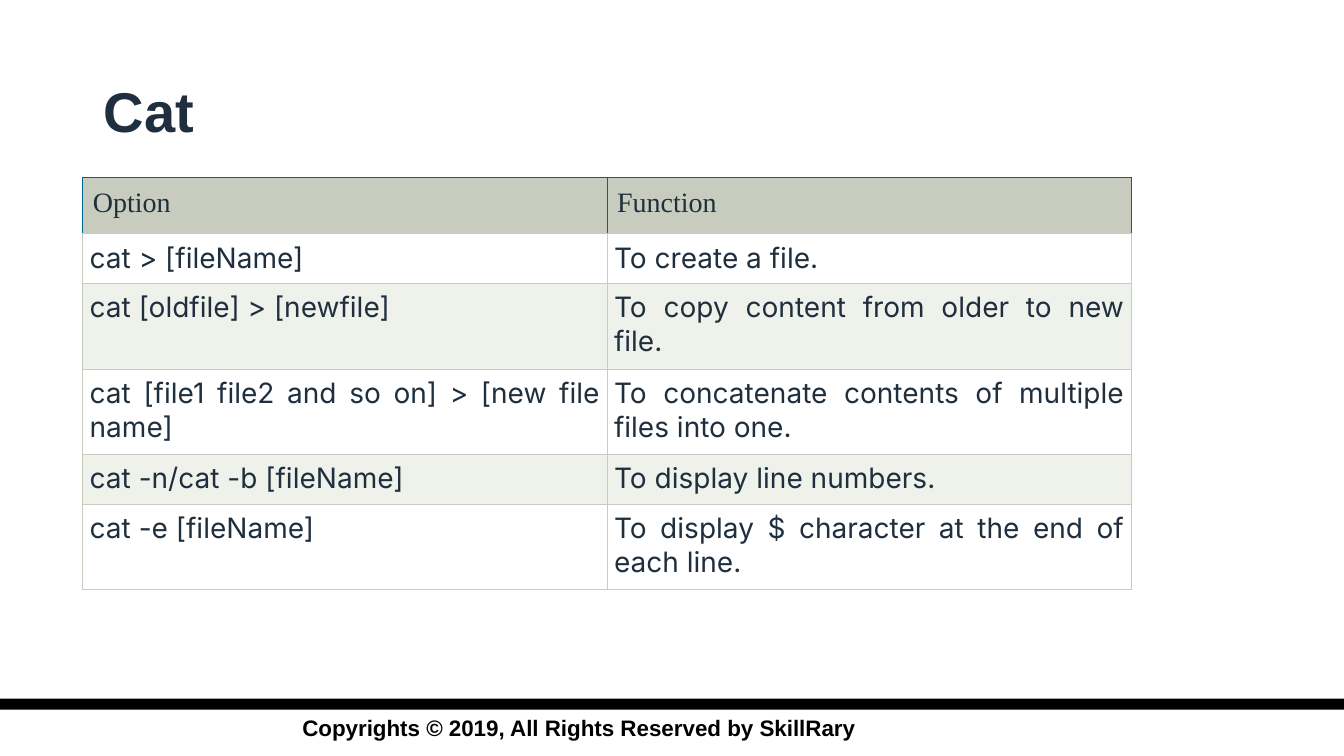
from lxml.etree import SubElement
from pptx import Presentation
from pptx.dml.color import RGBColor
from pptx.enum.shapes import MSO_SHAPE as SHAPE
from pptx.enum.text import MSO_AUTO_SIZE as FIT, PP_ALIGN as ALIGN
from pptx.oxml import parse_xml
from pptx.oxml.ns import nsdecls, qn
from pptx.util import Inches, Pt

INK, SAGE, PALE, BLUE = "202F3E", "C7CCBE", "EFF1EB", "00658C"
WHITE, BLACK = "FFFFFF", "000000"

ROWS = [
    ("Option", "Function"),
    ("cat > [fileName]", "To create a file."),
    ("cat [oldfile] > [newfile]", "To copy content from older to new file."),
    ("cat [file1 file2 and so on] > [new file name]",
     "To concatenate contents of multiple files into one."),
    ("cat -n/cat -b [fileName]", "To display line numbers."),
    ("cat -e [fileName]", "To display $ character at the end of each line."),
]
ROW_HEIGHTS = [0.56, 0.49, 0.85, 0.85, 0.49, 0.85]


def rgb(value):
    return RGBColor.from_string(value)


def write(tf, text, size=20, font="Arial", color=INK, bold=False, align=ALIGN.LEFT):
    p = tf.paragraphs[0]
    p.alignment = align
    r = p.add_run()
    r.text = text
    r.font.size, r.font.name, r.font.bold = Pt(size), font, bold
    r.font.color.rgb = rgb(color)


class SlideBuilder:
    def __init__(self, slide):
        self.slide = slide
        self.border_width = Pt(0.6)

    def text(self, x, y, w, h, text, **style):
        tf = self.slide.shapes.add_textbox(
            Inches(x), Inches(y), Inches(w), Inches(h)).text_frame
        tf.word_wrap = True
        tf.auto_size = FIT.SHAPE_TO_FIT_TEXT
        write(tf, text, **style)

    def bar(self, x, y, w, h, color):
        sp = self.slide.shapes.add_shape(
            SHAPE.RECTANGLE, Inches(x), Inches(y), Inches(w), Inches(h))
        sp.shadow.inherit = False
        sp.fill.solid()
        sp.fill.fore_color.rgb = rgb(color)
        sp.line.fill.background()

    def borders(self, cell, colors):
        # Border lines come before the fill in the cell properties
        tc_pr = cell._tc.get_or_add_tcPr()
        for i, (side, color) in enumerate(zip("LRTB", colors)):
            ln = parse_xml(f'<a:ln{side} {nsdecls("a")} w="{self.border_width}"/>')
            fill = SubElement(ln, qn("a:solidFill"))
            SubElement(fill, qn("a:srgbClr"), val=color)
            tc_pr.insert(i, ln)

    def cell(self, cell, text, fill, margin, edges, **style):
        cell.fill.solid()
        cell.fill.fore_color.rgb = rgb(fill)
        cell.margin_left = cell.margin_right = Inches(margin)
        cell.margin_top = cell.margin_bottom = Inches(margin)
        write(cell.text_frame, text, **style)
        self.borders(cell, edges)

    def table(self, x, y, w, heights, rows):
        columns = len(rows[0])
        table = self.slide.shapes.add_table(
            len(rows), columns, Inches(x), Inches(y), Inches(w),
            Inches(sum(heights))).table
        for column in table.columns:
            column.width = Inches(w / columns)
        for i, (height, texts) in enumerate(zip(heights, rows)):
            table.rows[i].height = Inches(height)
            for j, text in enumerate(texts):
                if i == 0:
                    self.cell(table.cell(i, j), text, SAGE, 0.1,
                              [BLUE, BLUE, BLUE, SAGE], font="Times New Roman")
                else:
                    self.cell(table.cell(i, j), text, WHITE if i % 2 else PALE, 0.07,
                              [SAGE] * 4, font="Inter", align=ALIGN.JUSTIFY)


def main():
    prs = Presentation()
    prs.slide_width, prs.slide_height = Inches(13.33), Inches(7.5)
    s = SlideBuilder(prs.slides.add_slide(prs.slide_layouts[6]))

    # Footer
    s.text(2.9, 7.04, 7.53, 0.37, "Copyrights © 2019, All Rights Reserved by SkillRary",
           size=16, color=BLACK, bold=True)
    s.bar(0, 6.93, 13.33, 0.11, BLACK)

    # Command options
    s.table(0.82, 1.76, 10.4, ROW_HEIGHTS, ROWS)

    # Title
    s.text(0.93, 0.71, 7.03, 0.77, "Cat", size=40, bold=True)

    prs.save("out.pptx")


if __name__ == "__main__":
    main()
